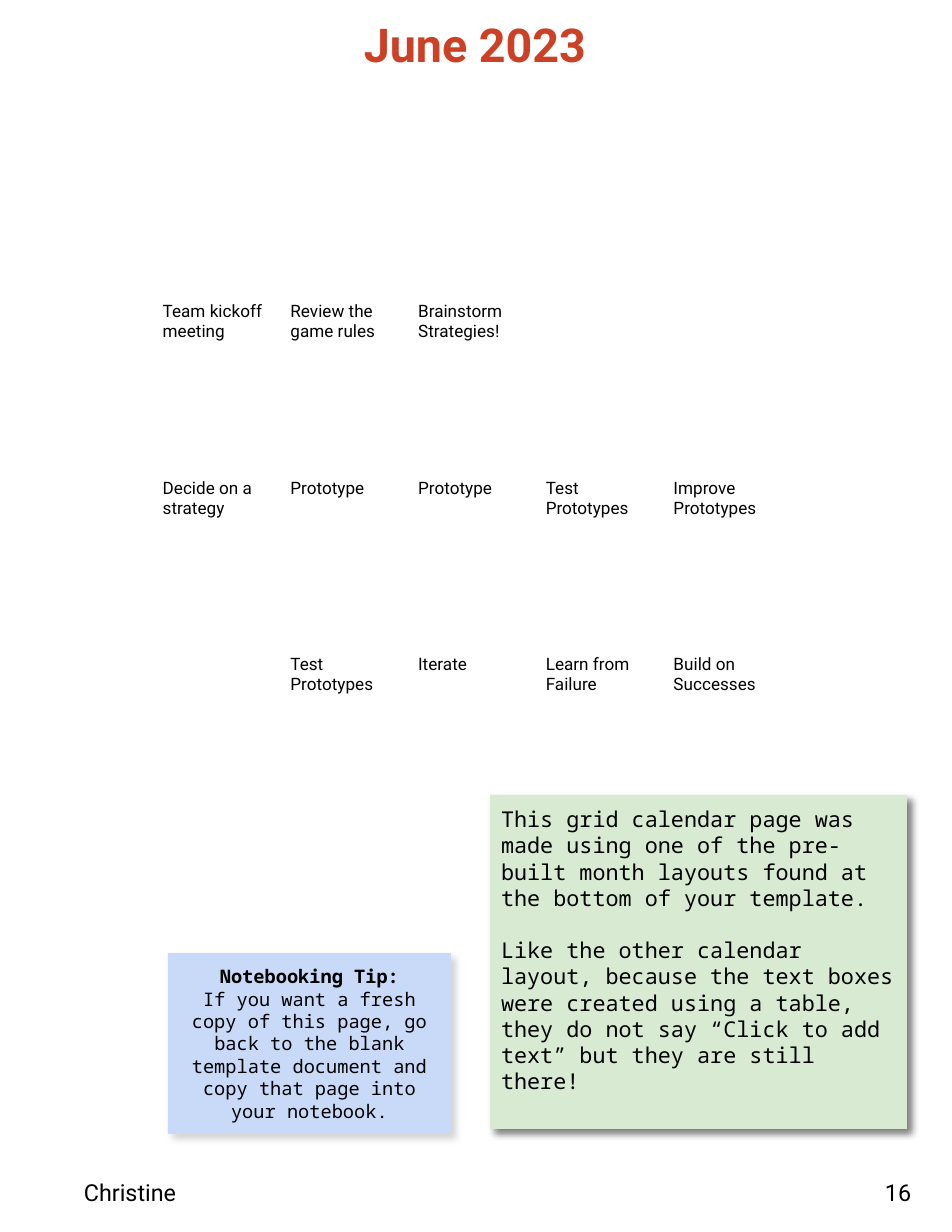
from dataclasses import dataclass

import pptx
import pptx.dml.color
import pptx.enum.shapes
import pptx.enum.text
import pptx.oxml
import pptx.oxml.ns
import pptx.util
from lxml import etree

PX = 914400 / 112
ALIGN = pptx.enum.text.PP_ALIGN
ANCHOR = pptx.enum.text.MSO_ANCHOR


@dataclass(frozen=True)
class Theme:
    sans: str = "Roboto"
    mono: str = "Noto Sans Mono"
    ink: str = "000000"
    heading: str = "CC4125"
    green: str = "D9EAD3"
    blue: str = "C9DAF8"
    title_size: int = 30
    footer_size: int = 15
    note_size: int = 14
    tip_size: int = 12
    event_size: int = 11


def emu(px):
    return pptx.util.Emu(round(px * PX))


def color(code):
    return pptx.dml.color.RGBColor.from_string(code)


class PageBuilder:
    def __init__(self, page, theme):
        self.page = page
        self.theme = theme

    def fill_text(self, frame, text, font, size, ink=None, align=ALIGN.LEFT,
                  inset=0, anchor=ANCHOR.TOP):
        frame.text = text
        frame.word_wrap = True
        frame.auto_size = pptx.enum.text.MSO_AUTO_SIZE.NONE
        frame.vertical_anchor = anchor
        frame.margin_left = frame.margin_right = emu(inset)
        frame.margin_top = frame.margin_bottom = emu(inset)
        self.style_text(frame, font, size, ink, align)

    def style_text(self, frame, font, size, ink=None, align=ALIGN.LEFT):
        for para in frame.paragraphs:
            para.alignment = align
            for span in para.runs:
                span.font.name = font
                span.font.size = pptx.util.Pt(size)
                span.font.color.rgb = color(ink or self.theme.ink)

    def title(self, text, left, top, width, height):
        box = self.page.shapes.title
        box.left, box.top, box.width, box.height = map(emu, (left, top, width, height))
        self.fill_text(box.text_frame, text, self.theme.sans, self.theme.title_size,
                       self.theme.heading, ALIGN.CENTER)
        box.text_frame.paragraphs[0].runs[0].font.bold = True

    def footer(self, text, left, top, width, height):
        box = self.page.shapes.add_textbox(*map(emu, (left, top, width, height)))
        self.fill_text(box.text_frame, text, self.theme.sans, self.theme.footer_size)

    def calendar(self, left, top, width, height, header_height, events):
        """Fill a seven-day, five-week grid from events keyed by (row, column)."""
        days, weeks = 7, 5
        frame = self.page.shapes.add_table(
            weeks + 1, days, *map(emu, (left, top, width, height)))
        table = frame.table
        table.first_row = table.horz_banding = False
        for column in table.columns:
            column.width = emu(width / days)
        for row in table.rows:
            row.height = emu((height - header_height) / weeks)
        table.rows[0].height = emu(header_height)
        for cell in table.iter_cells():
            cell.fill.background()
        for (row, column), text in events.items():
            cell = table.cell(row, column)
            cell.text = text
            cell.margin_left = cell.margin_right = cell.margin_bottom = emu(6)
            cell.margin_top = emu(22)
            self.style_text(cell.text_frame, self.theme.sans, self.theme.event_size)

    def note(self, text, left, top, width, height, fill, size, shadow_opacity,
             align=ALIGN.LEFT, anchor=ANCHOR.TOP):
        """Add a sticky note and return its paragraphs."""
        box = self.page.shapes.add_shape(
            pptx.enum.shapes.MSO_SHAPE.RECTANGLE,
            *map(emu, (left, top, width, height)))
        box.fill.solid()
        box.fill.fore_color.rgb = color(fill)
        box.line.fill.background()
        self.drop_shadow(box, shadow_opacity)
        self.fill_text(box.text_frame, text, self.theme.mono, size,
                       align=align, inset=11, anchor=anchor)
        return box.text_frame.paragraphs

    def drop_shadow(self, box, opacity):
        box.shadow.inherit = False
        qn = pptx.oxml.ns.qn
        effects = box._element.spPr.find(qn("a:effectLst"))
        shadow = etree.SubElement(
            effects, qn("a:outerShdw"), blurRad=str(pptx.util.Pt(4.5)),
            dist=str(pptx.util.Pt(3.8)), dir=str(46 * 60000),
            algn="bl", rotWithShape="0")
        tint = etree.SubElement(shadow, qn("a:srgbClr"), val=self.theme.ink)
        etree.SubElement(tint, qn("a:alpha"), val=str(opacity * 1000))


EVENTS = {
    (1, 1): "Team kickoff meeting",
    (1, 2): "Review the game rules",
    (1, 3): "Brainstorm Strategies!",
    (2, 1): "Decide on a strategy",
    (2, 2): "Prototype",
    (2, 3): "Prototype",
    (2, 4): "Test Prototypes",
    (2, 5): "Improve Prototypes",
    (3, 2): "Test Prototypes",
    (3, 3): "Iterate",
    (3, 4): "Learn from Failure",
    (3, 5): "Build on Successes",
}
LAYOUT_NOTE = (
    "This grid calendar page was made using one of the pre-built month layouts "
    "found at the bottom of your template.\n"
    "Like the other calendar layout, because the text boxes were created using "
    "a table, they do not say “Click to add text” but they are still there!"
)
TIP = (
    "Notebooking Tip:\n"
    "If you want a fresh copy of this page, go back to the blank template "
    "document and copy that page into your notebook."
)


def main():
    deck = pptx.Presentation()
    deck.slide_width, deck.slide_height = emu(952), emu(1232)
    theme = Theme()
    builder = PageBuilder(deck.slides.add_slide(deck.slide_layouts[5]), theme)

    builder.title("June 2023", 29, 16, 892, 65)
    builder.footer("Christine", 84, 1178, 392, 28)
    builder.footer("16", 885, 1178, 59, 28)
    builder.calendar(29, 109, 894, 1053, 171, EVENTS)

    paras = builder.note(LAYOUT_NOTE, 490, 795, 417, 334, theme.green,
                         theme.note_size, shadow_opacity=50)
    paras[1].space_before = pptx.util.Pt(17)

    paras = builder.note(TIP, 168, 953, 283, 181, theme.blue, theme.tip_size,
                         shadow_opacity=17, align=ALIGN.CENTER, anchor=ANCHOR.MIDDLE)
    paras[0].runs[0].font.bold = True

    deck.save("out.pptx")


if __name__ == "__main__":
    main()
